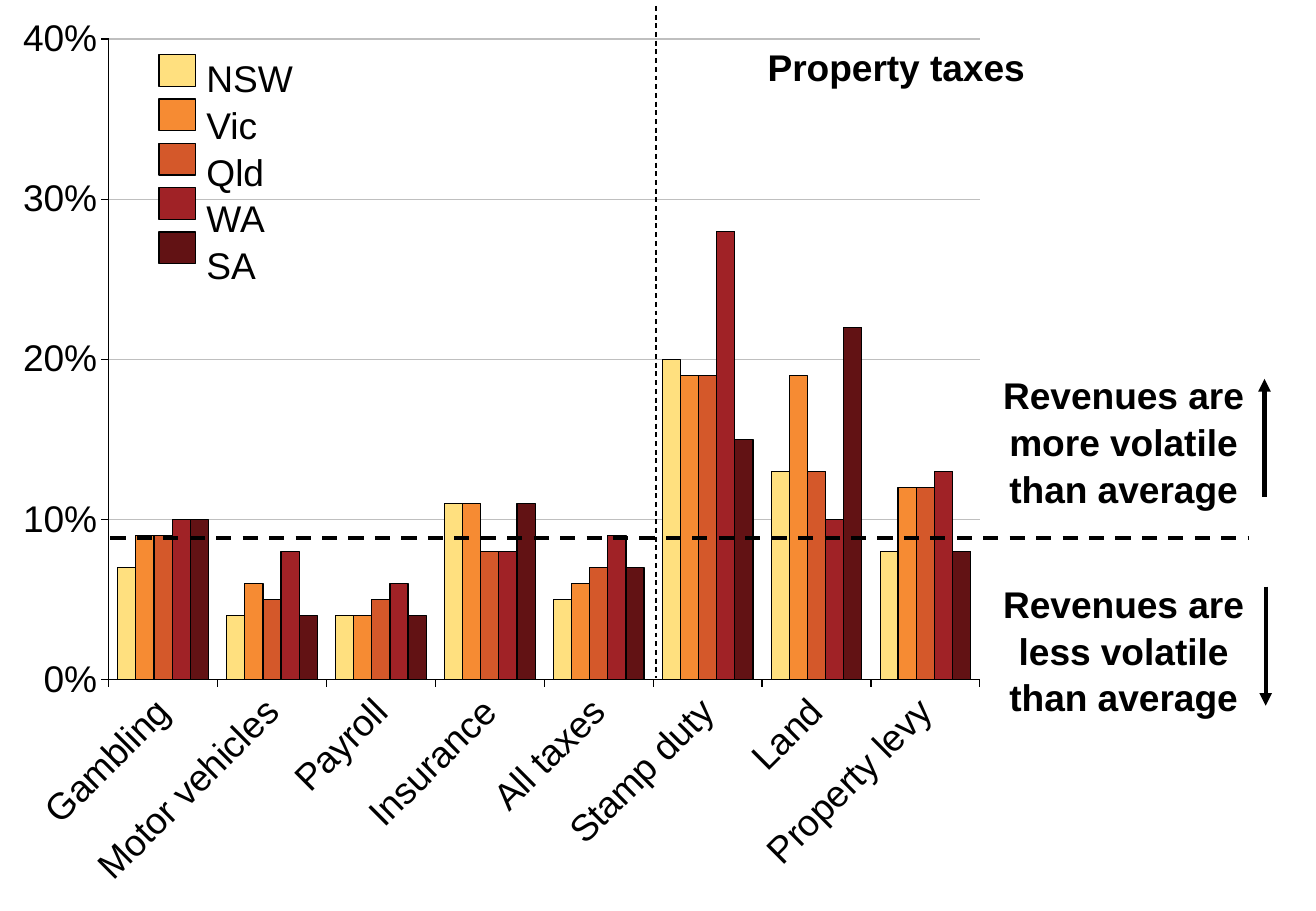
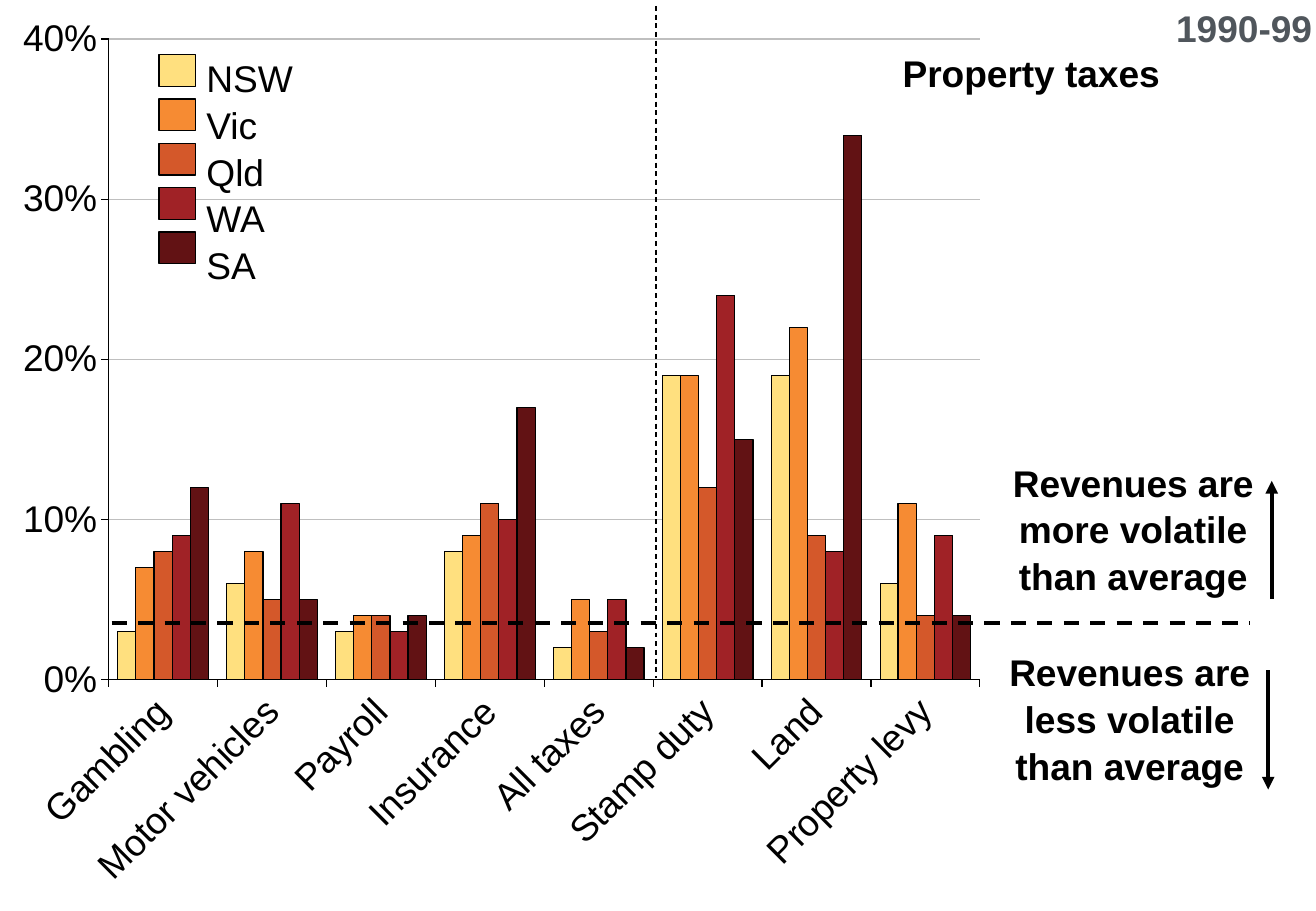
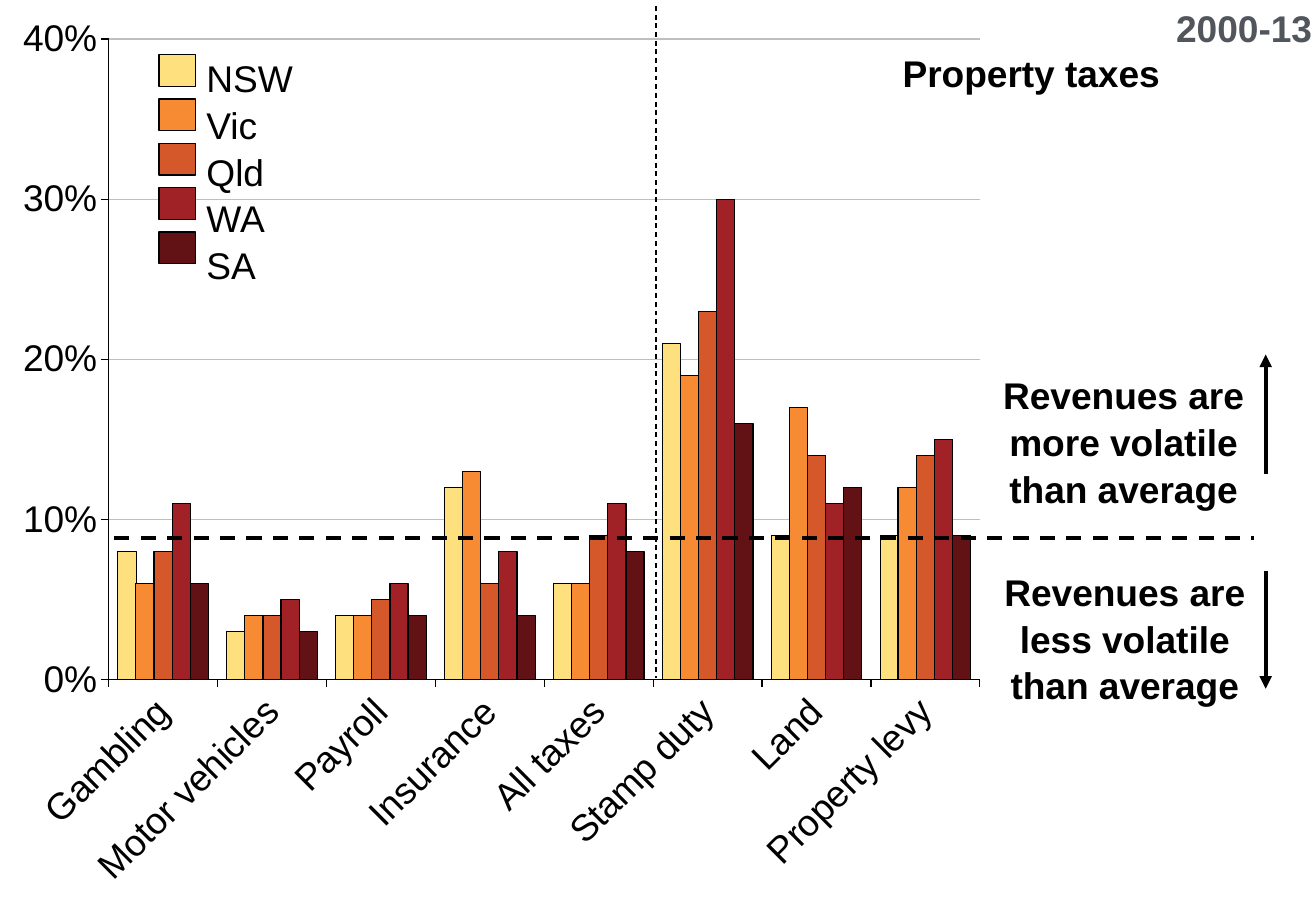
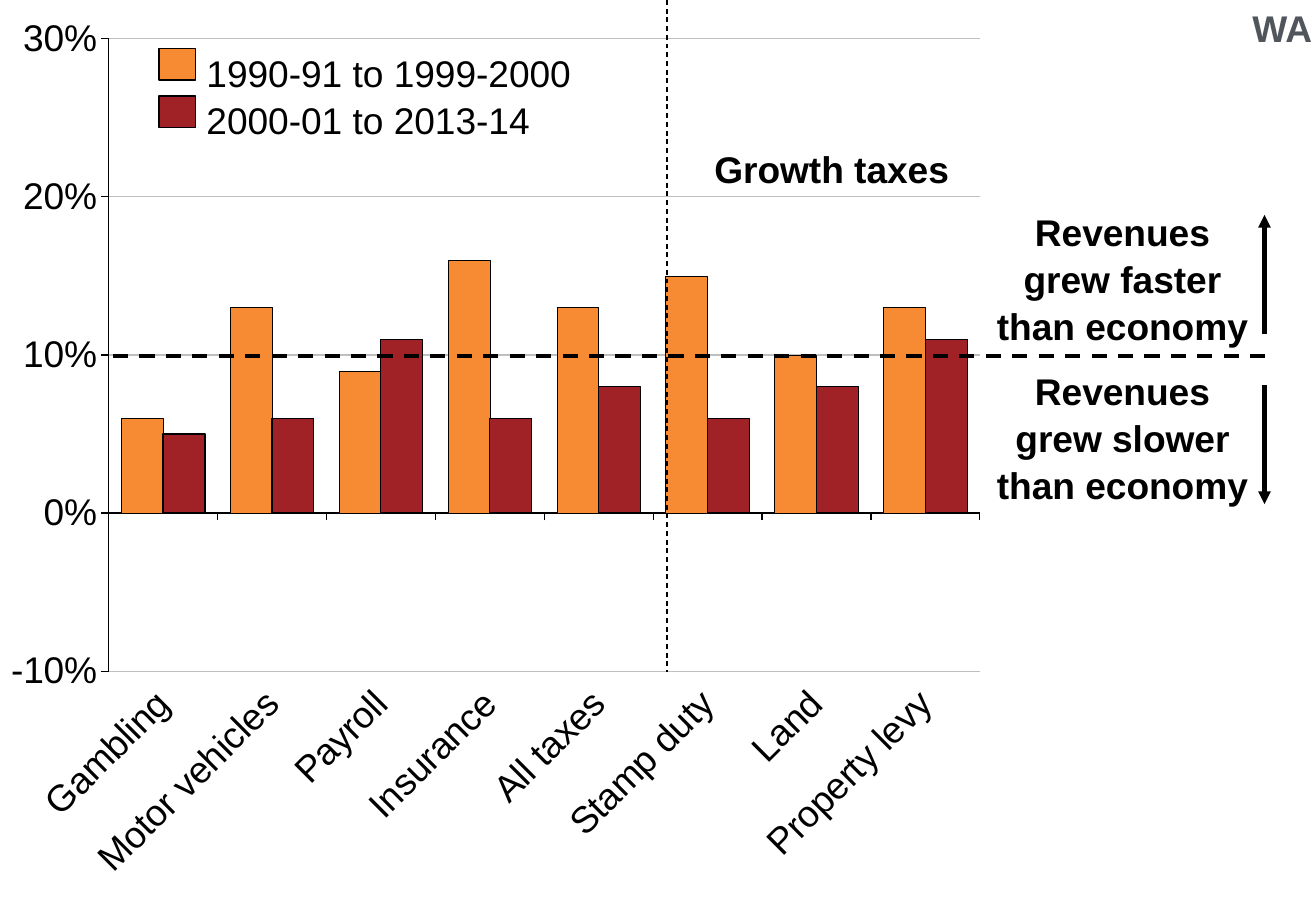
from lxml import etree
from pptx import Presentation
from pptx.chart.data import CategoryChartData
from pptx.dml.color import RGBColor
from pptx.enum import chart as ch, dml, shapes, text
from pptx.oxml import parse_xml
from pptx.oxml.ns import nsdecls, qn
from pptx.util import Pt

BLACK = RGBColor(0, 0, 0)
GRID = RGBColor(0xBF, 0xBF, 0xBF)
SLATE = RGBColor(0x50, 0x56, 0x5C)
YELLOW = RGBColor(0xFF, 0xE0, 0x7F)
ORANGE = RGBColor(0xF6, 0x8B, 0x33)
RUST = RGBColor(0xD4, 0x58, 0x2A)
RED = RGBColor(0xA0, 0x22, 0x26)
MAROON = RGBColor(0x62, 0x12, 0x14)

FONT, SIZE = "Arial", Pt(22)
LINE_SPACING, LINE_HEIGHT = 1.05, 26.6
PLOT = {"x": 0.08, "y": 0.043, "w": 0.662, "h": 0.703}
TAXES = ["Gambling", "Motor vehicles", "Payroll", "Insurance",
         "All taxes", "Stamp duty", "Land", "Property levy"]

STATES = {
    "colors": [YELLOW, ORANGE, RUST, RED, MAROON],
    "legend": ["NSW", "Vic", "Qld", "WA", "SA"],
    "legend_top": 31.7, "swatch_top": 32.4, "swatch_pitch": 26.3, "legend_width": 60.5,
    "range": (0, 0.4), "gap": 100, "chart_height": 540, "divider": (388.8, 3.5, 402),
}
PERIODS = {
    "colors": [ORANGE, RED],
    "legend": ["1990-91 to 1999-2000", "2000-01 to 2013-14"],
    "legend_top": 28.8, "swatch_top": 28.8, "swatch_pitch": 28.1, "legend_width": 266.4,
    "range": (-0.1, 0.3), "gap": 60, "chart_height": 533.5, "divider": (395.3, 0, 398.2),
}
MORE = "Revenues are more volatile than average"
LESS = "Revenues are less volatile than average"

SLIDES = [
    {"style": STATES, "tag": None, "heading": ("Property taxes", 455, 25.2),
     "average": (65.5, 740.2, 319),
     "notes": [(MORE, 582.5, 216, 749.5, 294.5, 224.6),
               (LESS, 582.5, 339.8, 750.2, 347.8, 418.3)],
     "values": [(0.07, 0.04, 0.04, 0.11, 0.05, 0.2, 0.13, 0.08),
                (0.09, 0.06, 0.04, 0.11, 0.06, 0.19, 0.19, 0.12),
                (0.09, 0.05, 0.05, 0.08, 0.07, 0.19, 0.13, 0.12),
                (0.1, 0.08, 0.06, 0.08, 0.09, 0.28, 0.1, 0.13),
                (0.1, 0.04, 0.04, 0.11, 0.07, 0.15, 0.22, 0.08)]},
    {"style": STATES, "tag": "1990-99", "heading": ("Property taxes", 535, 28.8),
     "average": (66.2, 740.9, 369.4),
     "notes": [(MORE, 588.2, 267.8, 753.8, 355, 285.1),
               (LESS, 586.1, 380.2, 751.7, 397.4, 468)],
     "values": [(0.03, 0.06, 0.03, 0.08, 0.02, 0.19, 0.19, 0.06),
                (0.07, 0.08, 0.04, 0.09, 0.05, 0.19, 0.22, 0.11),
                (0.08, 0.05, 0.04, 0.11, 0.03, 0.12, 0.09, 0.04),
                (0.09, 0.11, 0.03, 0.1, 0.05, 0.24, 0.08, 0.09),
                (0.12, 0.05, 0.04, 0.17, 0.02, 0.15, 0.34, 0.04)]},
    {"style": STATES, "tag": "2000-13", "heading": ("Property taxes", 535, 28.8),
     "average": (67.7, 743, 319),
     "notes": [(MORE, 582.5, 216, 750.2, 280.8, 210.2),
               (LESS, 583.2, 332.6, 750.2, 338.4, 408.2)],
     "values": [(0.08, 0.03, 0.04, 0.12, 0.06, 0.21, 0.09, 0.09),
                (0.06, 0.04, 0.04, 0.13, 0.06, 0.19, 0.17, 0.12),
                (0.08, 0.04, 0.05, 0.06, 0.09, 0.23, 0.14, 0.14),
                (0.11, 0.05, 0.06, 0.08, 0.11, 0.3, 0.11, 0.15),
                (0.06, 0.03, 0.04, 0.04, 0.08, 0.16, 0.12, 0.09)]},
    {"style": PERIODS, "tag": "WA", "heading": ("Growth taxes", 423.4, 85.7),
     "average": (67, 755.3, 211),
     "notes": [("Revenues grew faster than economy", 581.8, 119.5, 749.5, 198, 127.4),
               ("Revenues grew slower than economy", 581.8, 213.8, 749.5, 228.2, 298.8)],
     "values": [(0.06, 0.13, 0.09, 0.16, 0.13, 0.15, 0.1, 0.13),
                (0.05, 0.06, 0.11, 0.06, 0.08, 0.06, 0.08, 0.11)]},
]


def set_line(line, color, width):
    line.color.rgb = color
    line.width = Pt(width)


def add_text(slide, lines, left, top, width, rows=1, inset=0, bold=True,
             color=BLACK, align=text.PP_ALIGN.LEFT):
    height = rows * LINE_HEIGHT + (7.2 if inset else 0)
    sp = slide.shapes.add_textbox(Pt(left), Pt(top), Pt(width), Pt(height))
    tf = sp.text_frame
    tf.word_wrap = True
    tf.auto_size = text.MSO_AUTO_SIZE.SHAPE_TO_FIT_TEXT
    tf.margin_left = tf.margin_right = Pt(inset)
    tf.margin_top = tf.margin_bottom = Pt(inset / 2)
    tf.text = "\n".join(lines)
    for p in tf.paragraphs:
        p.alignment = align
        p.line_spacing = LINE_SPACING
        p.font.name, p.font.size, p.font.bold = FONT, SIZE, bold
        p.font.color.rgb = color


def add_line(slide, x1, y1, x2, y2, width, dashed=False, arrow=False):
    cx = slide.shapes.add_connector(shapes.MSO_CONNECTOR.STRAIGHT,
                                    Pt(x1), Pt(y1), Pt(x2), Pt(y2))
    set_line(cx.line, BLACK, width)
    if dashed:
        cx.line.dash_style = dml.MSO_LINE.DASH
    if arrow:
        etree.SubElement(cx.line._get_or_add_ln(), qn("a:tailEnd"), type="triangle")
    etree.SubElement(cx._element.spPr, qn("a:effectLst"))


def format_axis(axis):
    axis.major_tick_mark = ch.XL_TICK_MARK.OUTSIDE
    axis.minor_tick_mark = ch.XL_TICK_MARK.NONE
    set_line(axis.format.line, BLACK, 0.75)
    font = axis.tick_labels.font
    font.name, font.size, font.bold = FONT, SIZE, False
    font.color.rgb = BLACK


def place_plot(chart):
    area = chart._chartSpace.chart.plotArea
    for old in area.findall(qn("c:layout")):
        area.remove(old)
    modes = "".join(f'<c:{k}Mode val="edge"/>' for k in "xy")
    sizes = "".join(f'<c:{k} val="{v}"/>' for k, v in PLOT.items())
    area.insert(0, parse_xml(
        f'<c:layout {nsdecls("c")}><c:manualLayout><c:layoutTarget val="inner"/>'
        f'{modes}{sizes}</c:manualLayout></c:layout>'))


def add_tax_chart(slide, style, values):
    data = CategoryChartData(number_format="0%")
    data.categories = TAXES
    for i, row in enumerate(values, 1):
        data.add_series(f"Series {i}", row)
    chart = slide.shapes.add_chart(ch.XL_CHART_TYPE.COLUMN_CLUSTERED, Pt(2), 0, Pt(780),
                                   Pt(style["chart_height"]), data).chart
    chart.has_title = chart.has_legend = False
    chart.font.name, chart.font.size = FONT, Pt(18)
    chart.font.color.rgb = BLACK
    place_plot(chart)

    plot = chart.plots[0]
    plot.gap_width, plot.overlap, plot.vary_by_categories = style["gap"], 0, False
    for i, (series, color) in enumerate(zip(plot.series, style["colors"])):
        series.format.fill.solid()
        series.format.fill.fore_color.rgb = color
        set_line(series.format.line, BLACK, 0.75 if i else 0.25)

    cat, val = chart.category_axis, chart.value_axis
    format_axis(cat)
    format_axis(val)
    cat.tick_label_position = ch.XL_TICK_LABEL_POSITION.LOW
    cat._element.find(qn("c:txPr")).find(qn("a:bodyPr")).set("rot", "-2700000")
    val.minimum_scale, val.maximum_scale = style["range"]
    val.major_unit = 0.1
    val.tick_labels.number_format = "0%"
    val.tick_labels.number_format_is_linked = False
    val.has_major_gridlines = True
    set_line(val.major_gridlines.format.line, GRID, 0.75)


def add_legend(slide, style):
    for i, color in enumerate(style["colors"]):
        top = style["swatch_top"] + i * style["swatch_pitch"]
        sp = slide.shapes.add_shape(shapes.MSO_SHAPE.RECTANGLE,
                                    Pt(94.3), Pt(top), Pt(21.6), Pt(18.7))
        sp.shadow.inherit = False
        sp.fill.solid()
        sp.fill.fore_color.rgb = color
        set_line(sp.line, BLACK, 0.75)
    names = style["legend"]
    add_text(slide, names, 122.4, style["legend_top"], style["legend_width"],
             rows=len(names), bold=False)


def build_slide(prs, content):
    slide = prs.slides.add_slide(prs.slide_layouts[6])
    style = content["style"]
    add_tax_chart(slide, style, content["values"])
    add_legend(slide, style)

    x, top, bottom = style["divider"]
    add_line(slide, x, top, x, bottom, 0.75, dashed=True)
    heading, left, top = content["heading"]
    add_text(slide, [heading], left, top, 160.6)
    start, end, y = content["average"]
    add_line(slide, start, y, end, y, 2.25, dashed=True)

    for note, left, top, x, tail, tip in content["notes"]:
        add_text(slide, [note], left, top, 167, rows=3, inset=7.2,
                 align=text.PP_ALIGN.CENTER)
        add_line(slide, x, tail, x, tip, 2.5, arrow=True)
    if content["tag"]:
        add_text(slide, [content["tag"]], 681.1, -1.4, 103.7, inset=7.2,
                 color=SLATE, align=text.PP_ALIGN.RIGHT)


def main():
    prs = Presentation()
    prs.slide_width, prs.slide_height = Pt(780), Pt(540)
    for content in SLIDES:
        build_slide(prs, content)
    prs.save("out.pptx")


if __name__ == "__main__":
    main()
